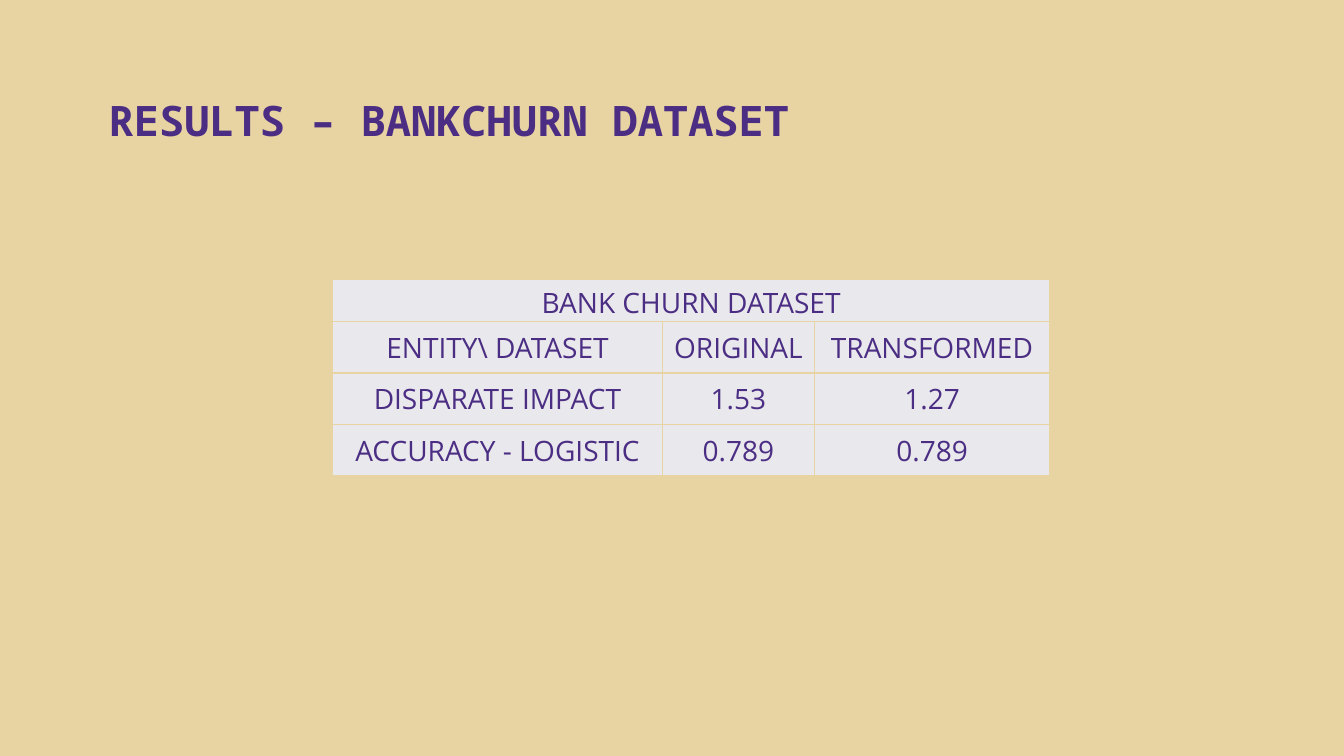
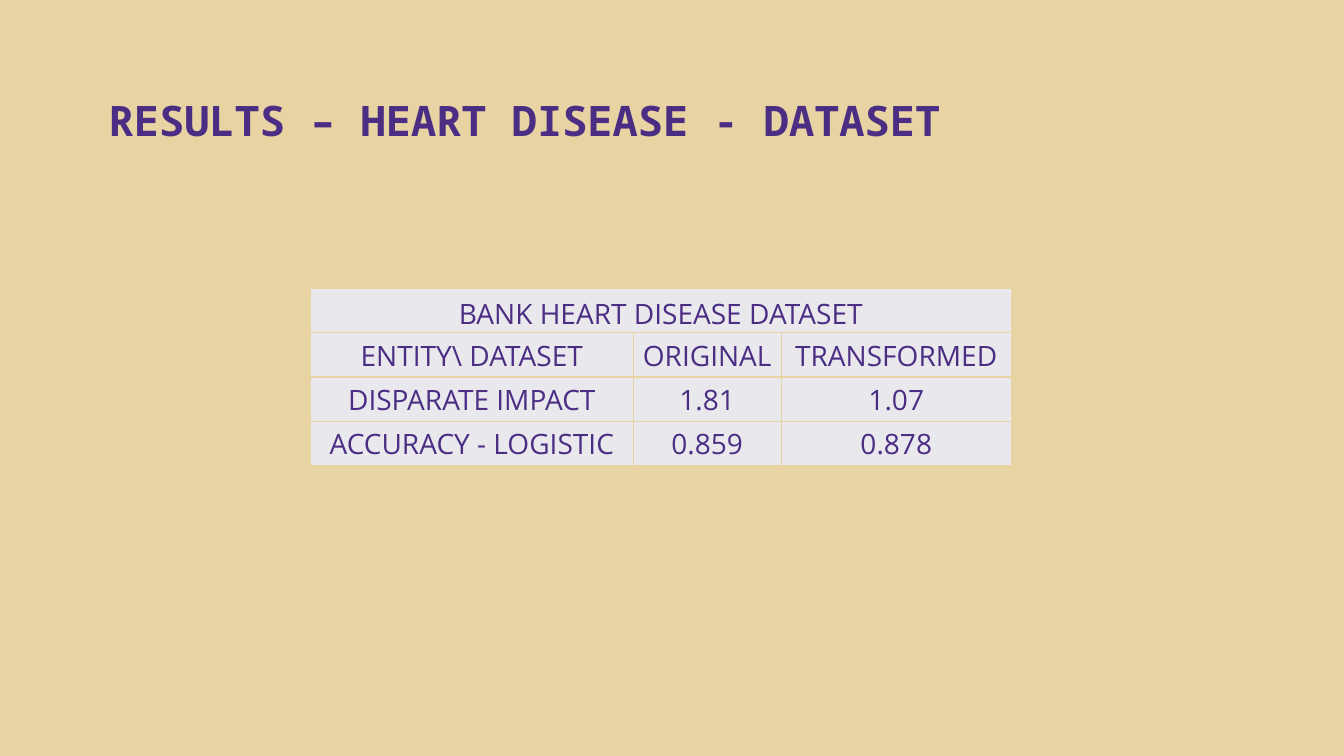
from dataclasses import dataclass

from lxml.etree import SubElement
from pptx import Presentation
from pptx.dml.color import RGBColor
from pptx.enum.text import MSO_ANCHOR, PP_ALIGN
from pptx.oxml.ns import qn
from pptx.slide import Slide
from pptx.table import _Cell
from pptx.text.text import TextFrame
from pptx.util import Inches, Pt

COLOURS = {"sand": "E8D3A2", "purple": "4B2E83", "cell": "E9E8ED"}
TITLE_FONT = "Noto Sans Mono"
TABLE_FONT = "Open Sans"
BLANK_LAYOUT = 6


@dataclass(frozen=True)
class ResultSlide:
    title: str
    left: float
    top: float
    column_widths: tuple[float, ...]
    row_heights: tuple[float, ...]
    caption: str
    disparate_impact: tuple[str, str]
    accuracy: tuple[str, str]

    def rows(self) -> list[tuple[str, ...]]:
        return [
            (self.caption,),
            ("ENTITY\\ DATASET", "ORIGINAL", "TRANSFORMED"),
            ("DISPARATE IMPACT", *self.disparate_impact),
            ("ACCURACY - LOGISTIC", *self.accuracy),
        ]


RESULTS = (
    ResultSlide(
        "RESULTS – BANKCHURN DATASET", 3.3, 2.77,
        (3.27, 1.51, 2.33), (0.42, 0.51, 0.51, 0.51),
        "BANK CHURN DATASET", ("1.53", "1.27"), ("0.789", "0.789"),
    ),
    ResultSlide(
        "RESULTS – HEART DISEASE - DATASET", 3.08, 2.86,
        (3.2, 1.47, 2.28), (0.44,) * 4,
        "BANK HEART DISEASE DATASET", ("1.81", "1.07"), ("0.859", "0.878"),
    ),
)


def write_text(
    frame: TextFrame, text: str, *, font: str, size: float,
    bold: bool = False, alignment: PP_ALIGN = PP_ALIGN.LEFT,
) -> None:
    paragraph = frame.paragraphs[0]
    paragraph.alignment = alignment
    run = paragraph.add_run()
    run.text = text
    run.font.name = font
    run.font.size = Pt(size)
    run.font.bold = bold
    run.font.color.rgb = RGBColor.from_string(COLOURS["purple"])


def add_title(slide: Slide, text: str) -> None:
    box = slide.shapes.add_textbox(Inches(0.98), Inches(0.41), Inches(11.76), Inches(1.08))
    box.text_frame.word_wrap = True
    box.text_frame.vertical_anchor = MSO_ANCHOR.BOTTOM
    write_text(box.text_frame, text, font=TITLE_FONT, size=30, bold=True)


def style_cell(cell: _Cell, anchor: MSO_ANCHOR) -> None:
    """Set margins, borders and fill; borders must precede the fill in the XML."""
    cell.margin_left = cell.margin_right = cell.margin_top = Inches(0.01)
    cell.margin_bottom = 0
    cell.vertical_anchor = anchor
    properties = cell._tc.get_or_add_tcPr()
    for side in ("L", "R", "T", "B"):
        border = SubElement(properties, qn(f"a:ln{side}"), w=str(Pt(1)))
        fill = SubElement(border, qn("a:solidFill"))
        SubElement(fill, qn("a:srgbClr"), val=COLOURS["sand"])
    cell.fill.solid()
    cell.fill.fore_color.rgb = RGBColor.from_string(COLOURS["cell"])


def add_result_table(slide: Slide, result: ResultSlide) -> None:
    widths, heights = result.column_widths, result.row_heights
    table = slide.shapes.add_table(
        len(heights), len(widths), Inches(result.left), Inches(result.top),
        Inches(sum(widths)), Inches(sum(heights)),
    ).table
    table.first_row = table.horz_banding = False
    for column, width in zip(table.columns, widths):
        column.width = Inches(width)
    for row, height in zip(table.rows, heights):
        row.height = Inches(height)
    table.cell(0, 0).merge(table.cell(0, len(widths) - 1))

    for row_index, texts in enumerate(result.rows()):
        anchor = MSO_ANCHOR.MIDDLE if row_index else MSO_ANCHOR.BOTTOM
        for cell in table.rows[row_index].cells:
            style_cell(cell, anchor)
        for column_index, text in enumerate(texts):
            write_text(
                table.cell(row_index, column_index).text_frame, text,
                font=TABLE_FONT, size=20, alignment=PP_ALIGN.CENTER,
            )


def main() -> None:
    presentation = Presentation()
    presentation.slide_width = Inches(13.33)
    presentation.slide_height = Inches(7.5)
    background = presentation.slide_master.background.fill
    background.solid()
    background.fore_color.rgb = RGBColor.from_string(COLOURS["sand"])
    for result in RESULTS:
        slide = presentation.slides.add_slide(presentation.slide_layouts[BLANK_LAYOUT])
        add_title(slide, result.title)
        add_result_table(slide, result)
    presentation.save("out.pptx")


if __name__ == "__main__":
    main()
